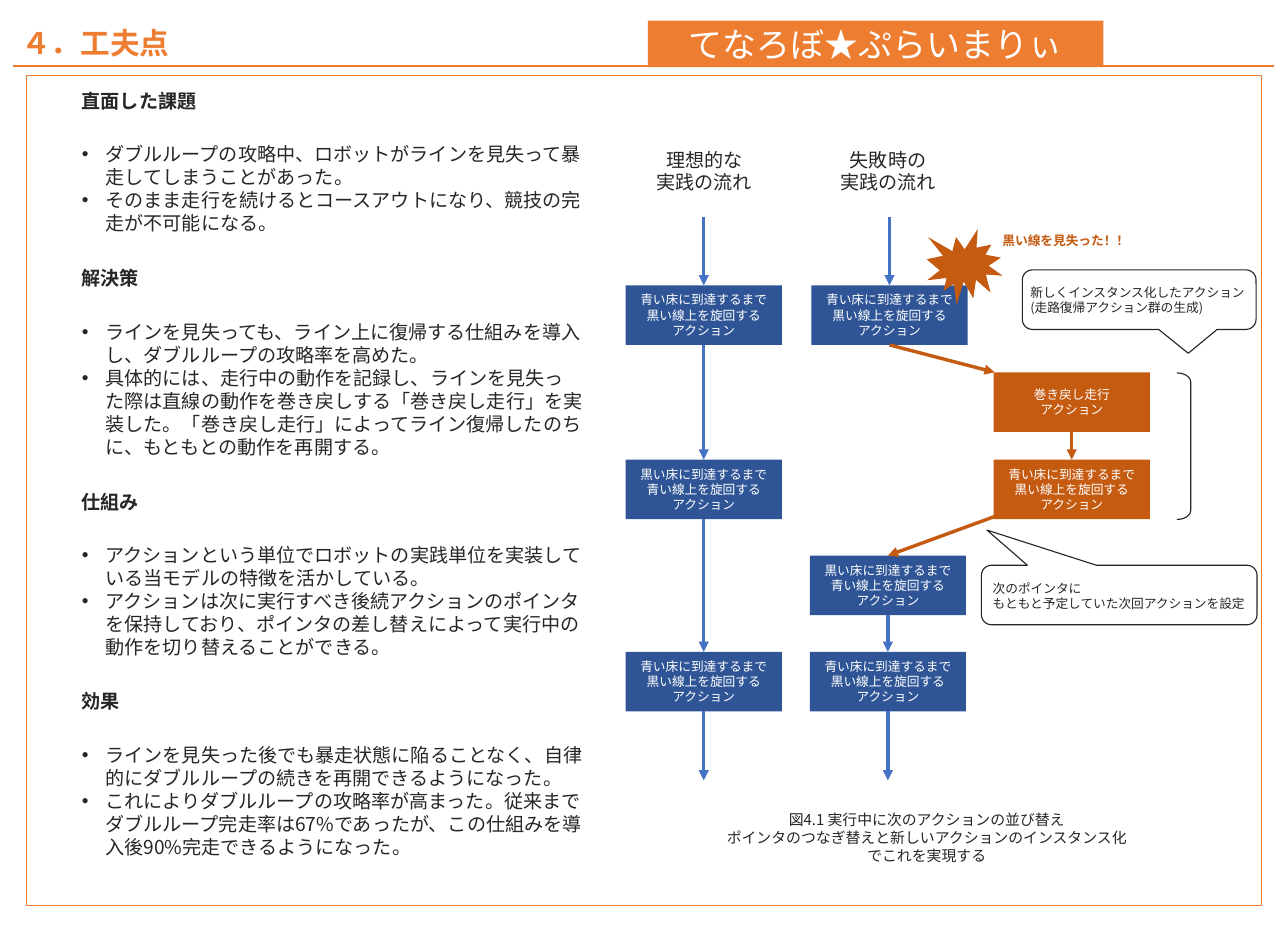
from pptx import Presentation
from pptx.dml.color import RGBColor
from pptx.enum.shapes import MSO_CONNECTOR as Link, MSO_SHAPE as Kind
from pptx.enum.text import MSO_ANCHOR as Anchor, MSO_AUTO_SIZE as Auto, PP_ALIGN as Align
from pptx.oxml.ns import qn
from pptx.util import Cm, Pt
from lxml.etree import SubElement as sub

ORANGE, RUST, NAVY, BLUE = "ED7D31", "C55A11", "2F5597", "4472C4"
INK, WHITE = "262626", "FFFFFF"
NOTO = "Noto Sans CJK JP"
BOX_W, BOX_H = 4.85, 1.85
LEFT, RIGHT, LOWER, SIDE = 19.43, 25.2, 25.15, 30.86
TEXT_X, TEXT_W, BODY_GAP = 2.29, 16.05, 1.67

TO_BLUE = ["青い床に到達するまで", "黒い線上を旋回する", "アクション"]
TO_BLACK = ["黒い床に到達するまで", "青い線上を旋回する", "アクション"]
REWIND = ["巻き戻し走行", "アクション"]

TOPICS = [
    (2.64, "直面した課題", [
        "ダブルループの攻略中、ロボットがラインを見失って暴走してしまうことがあった。",
        "そのまま走行を続けるとコースアウトになり、競技の完走が不可能になる。"]),
    (8.15, "解決策", [
        "ラインを見失っても、ライン上に復帰する仕組みを導入し、ダブルループの攻略率を高めた。",
        "具体的には、走行中の動作を記録し、ラインを見失った際は直線の動作を巻き戻しする"
        "「巻き戻し走行」を実装した。「巻き戻し走行」によってライン復帰したのちに、"
        "もともとの動作を再開する。"]),
    (15.09, "仕組み", [
        "アクションという単位でロボットの実践単位を実装している当モデルの特徴を活かしている。",
        "アクションは次に実行すべき後続アクションのポインタを保持しており、"
        "ポインタの差し替えによって実行中の動作を切り替えることができる。"]),
    (21.29, "効果", [
        "ラインを見失った後でも暴走状態に陥ることなく、自律的にダブルループの続きを"
        "再開できるようになった。",
        "これによりダブルループの攻略率が高まった。従来までダブルループ完走率は67%であったが、"
        "この仕組みを導入後90%完走できるようになった。"]),
]

STEPS = [
    (LEFT, 8.86, TO_BLUE, NAVY), (LEFT, 14.27, TO_BLACK, NAVY), (LEFT, 20.24, TO_BLUE, NAVY),
    (RIGHT, 8.86, TO_BLUE, NAVY), (LOWER, 17.25, TO_BLACK, NAVY), (LOWER, 20.24, TO_BLUE, NAVY),
    (SIDE, 11.56, REWIND, RUST), (SIDE, 14.27, TO_BLUE, RUST),
]

FLOWS = [
    (LEFT, 6.73, 8.86, BLUE), (LEFT, 10.71, 14.27, BLUE), (LEFT, 16.12, 20.24, BLUE),
    (LEFT, 22.09, 24.23, BLUE), (RIGHT, 6.73, 8.86, BLUE), (LOWER, 19.1, 20.24, BLUE),
    (LOWER, 22.09, 24.23, BLUE), (SIDE, 13.41, 14.27, RUST),
]


def tint(code):
    return RGBColor.from_string(code)


def mid(left):
    return left + BOX_W / 2


def write(frame, lines, size, color=INK, font=NOTO, bold=False, align=None, bullet=False):
    for i, line in enumerate(lines):
        para = frame.add_paragraph() if i else frame.paragraphs[0]
        para.alignment = align
        if bullet:
            props = para._p.get_or_add_pPr()
            props.set("marL", str(Cm(0.74)))
            props.set("indent", str(Cm(-0.74)))
            sub(props, qn("a:buFont"), typeface="Arial")
            sub(props, qn("a:buChar"), char="•")
        run = para.add_run()
        run.text = line
        run.font.size = Pt(size)
        run.font.bold = bold
        run.font.name = font
        run.font.color.rgb = tint(color)
        sub(run._r.get_or_add_rPr(), qn("a:ea"), typeface=NOTO)


def label(shapes, area, lines, size, wrap=False, **style):
    frame = shapes.add_textbox(*map(Cm, area)).text_frame
    frame.word_wrap = wrap
    frame.auto_size = Auto.SHAPE_TO_FIT_TEXT
    write(frame, lines, size, **style)
    return frame


def form(shapes, kind, area, fill=None, line=None, width=1, adj=()):
    item = shapes.add_shape(kind, *map(Cm, area))
    item.shadow.inherit = False
    if fill:
        item.fill.solid()
        item.fill.fore_color.rgb = tint(fill)
    else:
        item.fill.background()
    if line:
        item.line.color.rgb = tint(line)
        item.line.width = Pt(width)
    else:
        item.line.fill.background()
    for i, value in enumerate(adj):
        item.adjustments[i] = value
    return item


def block(shapes, area, lines, size, fill, font=NOTO):
    frame = form(shapes, Kind.RECTANGLE, area, fill).text_frame
    frame.word_wrap = True
    frame.vertical_anchor = Anchor.MIDDLE
    write(frame, lines, size, WHITE, font, align=Align.CENTER)


def link(shapes, ends, color, width=3, arrow=True):
    line = shapes.add_connector(Link.STRAIGHT, *map(Cm, ends))
    line.line.color.rgb = tint(color)
    line.line.width = Pt(width)
    if arrow:
        sub(line.line._get_or_add_ln(), qn("a:tailEnd"), type="triangle")
    sub(line._element.spPr, qn("a:effectLst"))


def note(shapes, text_at, lines, area, adj):
    group = shapes.add_group_shape().shapes
    label(group, text_at, lines, 11.2)
    form(group, Kind.ROUNDED_RECTANGULAR_CALLOUT, area, line=INK, adj=adj)


def header(shapes):
    title = label(shapes, (0.41, 0.71, 20.4, 1.35), ["４．工夫点"], 26.1,
                  wrap=True, color=ORANGE, font="Arial", bold=True)
    title.auto_size = Auto.NONE
    title.vertical_anchor = Anchor.MIDDLE
    title.paragraphs[0].line_spacing = 0.9
    block(shapes, (20.12, 0.64, 14.15, 1.45), ["てなろぼ★ぷらいまりぃ"], 29.9, ORANGE, "Arial")
    link(shapes, (0.41, 2.06, 39.57, 2.06), ORANGE, 1.5, False)


def topics(shapes):
    for top, head, points in TOPICS:
        label(shapes, (TEXT_X, top, 0.5 + 0.6 * len(head), 0.97), [head], 16.8, bold=True)
        label(shapes, (TEXT_X, top + BODY_GAP, TEXT_W, 3.12), points, 16.8,
              wrap=True, bullet=True)


def chart(shapes):
    for left, top, lines, fill in STEPS:
        block(shapes, (left, top, BOX_W, BOX_H), lines, 11.2, fill)
    form(shapes, Kind.EXPLOSION1, (28.78, 7.11, 2.36, 2.36), RUST)
    label(shapes, (30.84, 7.09, 4.52, 0.74), ["黒い線を見失った！！"], 11.2,
          color=RUST, bold=True, align=Align.CENTER)
    form(shapes, Kind.RIGHT_BRACKET, (36.55, 11.58, 0.43, 4.55), line=INK, adj=[0.65])
    note(shapes, (30.58, 17.91, 8.53, 1.22),
         ["次のポインタに", "もともと予定していた次回アクションを設定"],
         (30.48, 17.55, 8.56, BOX_H), (-0.48, -1.09, 0.17))
    note(shapes, (31.75, 8.71, 7.32, 1.22),
         ["新しくインスタンス化したアクション", "(走路復帰アクション群の生成)"],
         (31.75, 8.38, 7.26, BOX_H), (0.21, 0.9, 0.17))
    for left, start, end, color in FLOWS:
        link(shapes, (mid(left), start, mid(left), end), color)
    link(shapes, (30.91, 16.03, mid(LOWER), 17.25), RUST)
    link(shapes, (mid(RIGHT), 10.71, 30.89, 11.56), RUST)
    for left, case in ((20.12, "理想的な"), (25.83, "失敗時の")):
        label(shapes, (left, 4.47, 3.5, 1.7), [case, "実践の流れ"], 16.8, align=Align.CENTER)
    label(shapes, (22.28, 25.04, 13, 1.93),
          ["図4.1 実行中に次のアクションの並び替え",
           "ポインタのつなぎ替えと新しいアクションのインスタンス化",
           "でこれを実現する"], 13.1, align=Align.CENTER)


def main():
    deck = Presentation()
    deck.slide_width, deck.slide_height = Cm(40), Cm(29)
    shapes = deck.slides.add_slide(deck.slide_layouts[6]).shapes
    header(shapes)
    topics(shapes)
    chart(shapes)
    form(shapes, Kind.RECTANGLE, (0.81, 2.34, 38.38, 25.78), line=ORANGE, width=0.75)
    deck.save("out.pptx")


if __name__ == "__main__":
    main()
